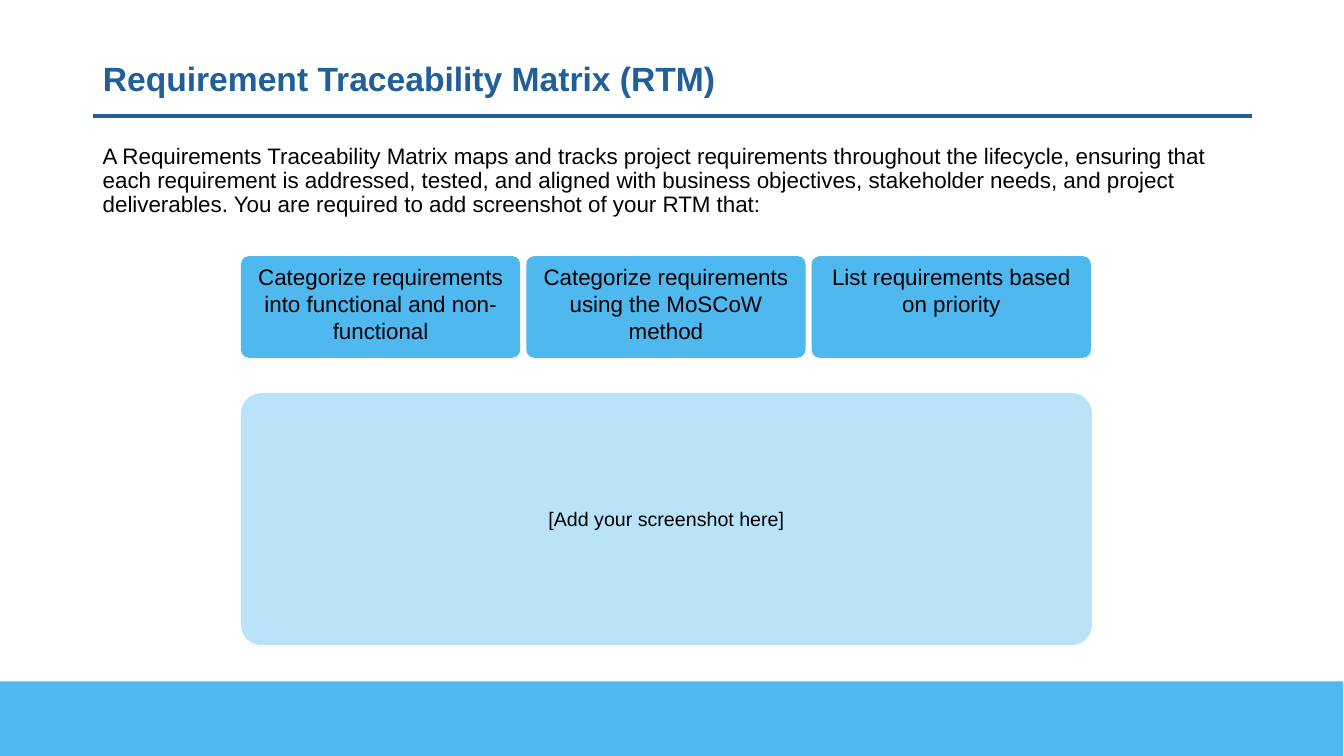
from dataclasses import dataclass

from lxml import etree
from pptx import Presentation
from pptx.dml.color import RGBColor
from pptx.enum.shapes import MSO_CONNECTOR, MSO_SHAPE
from pptx.enum.text import MSO_ANCHOR as Anchor, MSO_AUTO_SIZE, PP_ALIGN as Align
from pptx.oxml.ns import qn
from pptx.util import Inches, Pt

FONT = "Arial"
NAVY, SKY, PALE, BLACK = "215F9A", "4EB8EF", "B8E3F9", "000000"
LEFT, WIDTH = 0.92, 11.5
CARD_LEFT, CARD_WIDTH, CARD_PITCH = 2.39, 2.77, 2.83


@dataclass
class Box:
    left: float
    top: float
    width: float
    height: float
    fill: str = SKY
    text: str = ""
    size: int = 16
    anchor: Anchor = Anchor.TOP
    rounded: bool = True


def rgb(color: str) -> RGBColor:
    return RGBColor.from_string(color)


def write(tf, text: str, *, size: int, color: str = BLACK, bold: bool = False,
          align: Align = Align.LEFT, anchor: Anchor = Anchor.TOP,
          spacing: float = 1.0, before: float = 0) -> None:
    tf.word_wrap = True
    tf.vertical_anchor = anchor
    p = tf.paragraphs[0]
    p.alignment, p.line_spacing, p.space_before = align, spacing, Pt(before)
    r = p.add_run()
    r.text = text
    r.font.name, r.font.size, r.font.bold = FONT, Pt(size), bold
    r.font.color.rgb = rgb(color)


def add_box(s, box: Box) -> None:
    kind = MSO_SHAPE.ROUNDED_RECTANGLE if box.rounded else MSO_SHAPE.RECTANGLE
    sp = s.shapes.add_shape(kind, Inches(box.left), Inches(box.top),
                            Inches(box.width), Inches(box.height))
    sp.shadow.inherit = False
    sp.fill.solid()
    sp.fill.fore_color.rgb = rgb(box.fill)
    sp.line.fill.background()
    if box.rounded:
        sp.adjustments[0] = 0.08
    if box.text:
        write(sp.text_frame, box.text, size=box.size, align=Align.CENTER, anchor=box.anchor)


def main() -> None:
    prs = Presentation()
    prs.slide_width, prs.slide_height = Inches(13.33), Inches(7.5)
    s = prs.slides.add_slide(prs.slide_layouts[5])

    # Title
    title = s.shapes.title
    title.left, title.top = Inches(LEFT), Inches(0.4)
    title.width, title.height = Inches(WIDTH), Inches(0.79)
    write(title.text_frame, "Requirement Traceability Matrix (RTM)", size=24,
          color=NAVY, bold=True, anchor=Anchor.MIDDLE, spacing=0.9)

    # Introduction
    intro = s.shapes.add_textbox(Inches(LEFT), Inches(1.39), Inches(WIDTH), Inches(0.83))
    write(intro.text_frame,
          "A Requirements Traceability Matrix maps and tracks project requirements "
          "throughout the lifecycle, ensuring that each requirement is addressed, tested, "
          "and aligned with business objectives, stakeholder needs, and project "
          "deliverables. You are required to add screenshot of your RTM that:",
          size=16, spacing=0.9, before=10)
    intro.text_frame.auto_size = MSO_AUTO_SIZE.SHAPE_TO_FIT_TEXT

    # Footer band
    add_box(s, Box(0, 6.76, 13.32, 0.76, rounded=False))

    # Title rule
    rule = s.shapes.add_connector(MSO_CONNECTOR.STRAIGHT, Inches(LEFT), Inches(1.15),
                                  Inches(LEFT + WIDTH), Inches(1.15))
    rule.line.color.rgb = rgb(NAVY)
    rule.line.width = Pt(3)
    etree.SubElement(rule._element.spPr, qn("a:effectLst"))

    # Screenshot area
    add_box(s, Box(CARD_LEFT, 3.9, 8.44, 2.5, PALE, "[Add your screenshot here]",
                   size=14, anchor=Anchor.MIDDLE))

    # Requirement cards
    cards = ["Categorize requirements into functional and non-functional",
             "Categorize requirements using the MoSCoW method",
             "List requirements based on priority"]
    for i, text in enumerate(cards):
        add_box(s, Box(CARD_LEFT + i * CARD_PITCH, 2.54, CARD_WIDTH, 1.01, text=text))

    prs.save("out.pptx")


if __name__ == "__main__":
    main()
